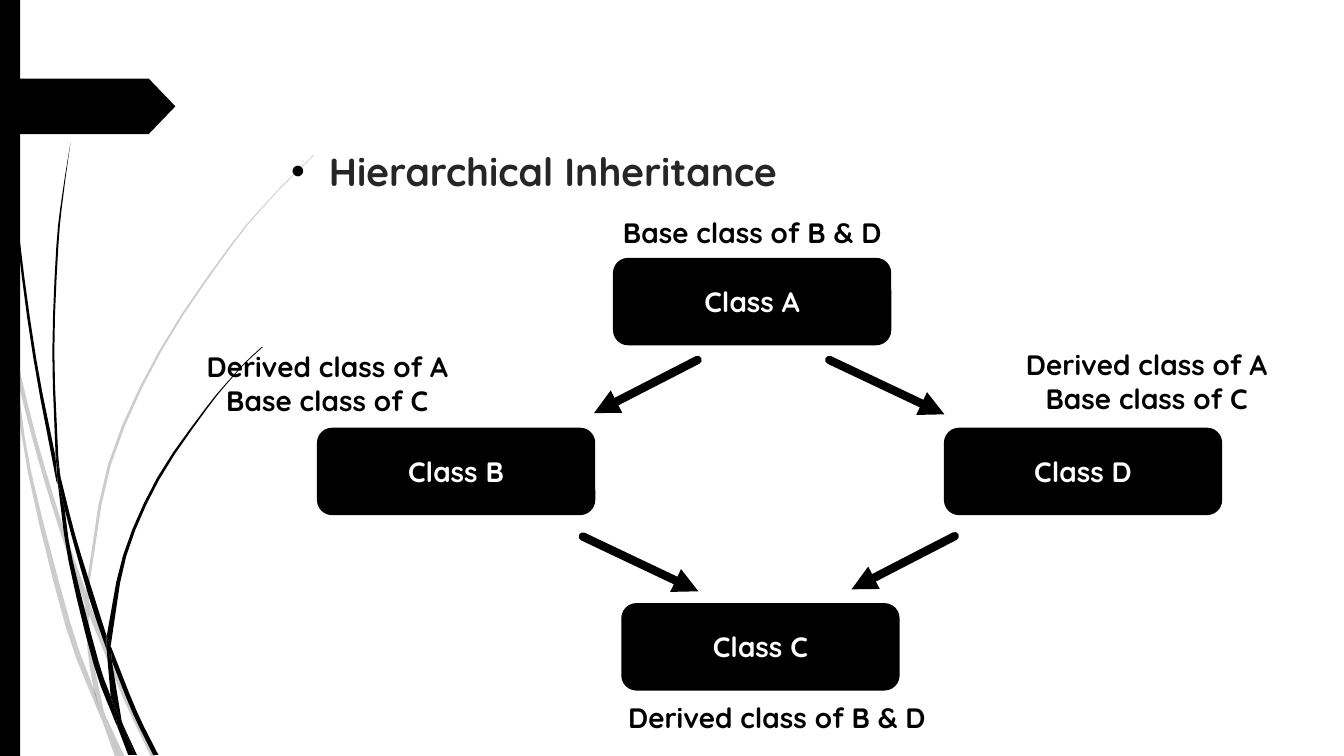
from lxml import etree
from pptx import Presentation, util as u
from pptx.dml.color import RGBColor
from pptx.enum import shapes, text
from pptx.oxml import ns

COLORS = {"ink": "000000", "title": "262626", "paper": "FFFFFF"}
FONT = "Quicksand"
SLIDE_W, SLIDE_H = 33.87, 19.05
CARD_W, CARD_H = 6.97, 2.16
CAPTION_W = 9.22

PALE_BLADES = [
    [[(.28, 8.89), (.23, 8.18), (0, 7.16)], [(0, 7.59), (.25, 8.74)]],
    [[(.43, 9.55), (.91, 11.4), (1.47, 13.26), (2.13, 15.21)],
     [(2.16, 14.88), (1.57, 13.21), (.91, 11), (.36, 8.76)]],
    [[(2.24, 15.49), (3.12, 17.63), (3.81, 19.08)],
     [(3.94, 19.08), (3.23, 17.58), (2.34, 15.42)], [(2.24, 15.14)]],
    [[(3.02, 19.08), (3.15, 19.08)], [(2.67, 18.06)]],
    [[(.28, 8.89), (.71, 11.94), (1.65, 15.77), (2.34, 17.6), (2.57, 18.14)],
     [(2.51, 17.96), (2.36, 17.35), (1.78, 15.72), (.79, 11.91), (.43, 9.55)]],
    [[(2.13, 15.21), (2.21, 16.41), (2.36, 17.35), (2.44, 17.58), (2.67, 18.06)],
     [(2.62, 17.93), (2.31, 16.41), (2.24, 15.49)]],
    [[(2.24, 14.83), (2.79, 11.73), (4.06, 8.86), (5.82, 6.22), (6.81, 5.03), (7.37, 4.45),
      (7.92, 3.91)],
     [(7.92, 3.89), (7.34, 4.45), (6.81, 5), (5.79, 6.2), (4.01, 8.84), (2.72, 11.71),
      (2.16, 14.88)], [(2.24, 15.14)]],
    [[(2.57, 18.14), (2.9, 19.08)], [(3.02, 19.08)]],
    [[(2.24, 15.49), (2.24, 15.14)], [(2.16, 14.88), (2.13, 15.21)]],
    [[(2.36, 17.35), (2.51, 17.96)], [(2.57, 18.14), (3.02, 19.08)],
     [(2.67, 18.06), (2.44, 17.58)]],
]
INK_BLADES = [
    [[(.08, 0), (.1, 1.22), (.18, 2.79), (.43, 5.92), (.84, 9.02), (1.42, 12.12)],
     [(1.45, 12.22)],
     [(1.4, 11.51), (.91, 9.02), (.48, 5.89), (.2, 2.77), (.13, 1.22), (.1, 0)]],
    [[(1.52, 11.99), (1.63, 12.83), (2.24, 15.04), (2.69, 16.38)],
     [(2.69, 16.03), (2.36, 14.99), (1.9, 13.5), (1.52, 11.99)]],
    [[(2.79, 16.28)], [(2.82, 16.66), (3.35, 17.98), (3.86, 19.02)],
     [(3.99, 19.02), (3.45, 17.93), (2.87, 16.48)]],
    [[(1.45, 12.12), (1.73, 14.15), (2.36, 16.74), (2.82, 17.98), (2.97, 18.34)],
     [(2.95, 18.21), (2.79, 17.55), (2.49, 16.69), (1.83, 14.12), (1.63, 12.83)]],
    [[(1.52, 11.99)], [(1.47, 11.51), (1.37, 8.86), (1.47, 6.22), (1.6, 4.9), (1.78, 3.58)],
     [(1.78, 3.58), (1.57, 4.9), (1.42, 6.22), (1.32, 8.86), (1.4, 11.4)]],
    [[(3.38, 19.02), (3.45, 19.02)], [(3.1, 18.26)]],
    [[(1.45, 12.12), (1.63, 12.83)], [(1.52, 11.99), (1.4, 11.4)]],
    [[(2.82, 16.08), (3.18, 14.02), (4.01, 12.09), (5.21, 10.31), (5.87, 9.5), (6.22, 9.12),
      (6.63, 8.74)],
     [(6.6, 8.74), (6.22, 9.09), (5.87, 9.47), (5.18, 10.29), (3.96, 12.04), (3.1, 14),
      (2.69, 16.03)], [(2.79, 16.28)]],
    [[(2.97, 18.34), (3.23, 19.02)], [(3.33, 19.02)]],
    [[(2.69, 16.38), (2.79, 17.55)], [(2.95, 17.93), (3.1, 18.26)],
     [(3.07, 18.19), (2.82, 16.66)]],
    [[(2.69, 16.38), (2.82, 16.66)], [(2.79, 16.28), (2.69, 16.03)]],
    [[(2.79, 17.55), (2.95, 18.21)], [(2.97, 18.34), (3.3, 19.02)],
     [(3.38, 19.02), (3.1, 18.26), (2.95, 17.93)]],
]

CARDS = [
    ("Class C", 15.68, 15.22, ["Derived class of B & D"], -.71, 2.31),
    ("Class B", 8.01, 10.8, ["Derived class of A", "Base class of C"], -4.37, -2.11),
    ("Class D", 23.81, 10.8, ["Derived class of A", "Base class of C"], .48, -2.17),
    ("Class A", 15.47, 6.52, ["Base class of B & D"], -1.12, -1.21),
]

ARROWS = [
    (17.58, 9.07, 14.97, 10.41),
    (20.9, 9.07, 23.8, 10.44),
    (14.69, 13.52, 17.6, 14.9),
    (24.06, 13.51, 21.46, 14.85),
]


def color(name):
    return RGBColor.from_string(COLORS[name])


def paint(sp, name):
    sp.shadow.inherit = False
    sp.fill.solid()
    sp.fill.fore_color.rgb = color(name)
    sp.line.fill.background()


def add_block(s, kind, x, y, w, h):
    sp = s.shapes.add_shape(kind, u.Cm(x), u.Cm(y), u.Cm(w), u.Cm(h))
    paint(sp, "ink")
    return sp


def add_run(p, words, size, name):
    r = p.add_run()
    r.text = words
    r.font.name, r.font.size, r.font.bold = FONT, u.Pt(size), True
    r.font.color.rgb = color(name)


def fill_text(tf, lines, name):
    tf.word_wrap = True
    for i, words in enumerate(lines):
        p = tf.add_paragraph() if i else tf.paragraphs[0]
        p.alignment = text.PP_ALIGN.CENTER
        add_run(p, words, 20, name)


def smooth(edge, steps=3):
    if len(edge) < 3:
        return edge
    first = tuple(2 * a - b for a, b in zip(edge[0], edge[1]))
    last = tuple(2 * a - b for a, b in zip(edge[-1], edge[-2]))
    ends = [first, *edge, last]
    points = []
    for a, b, c, d in zip(ends, ends[1:], ends[2:], ends[3:]):
        for t in (i / steps for i in range(steps)):
            points.append(tuple(
                (2 * q + (r - p) * t + (2 * p - 5 * q + 4 * r - v) * t ** 2
                 + (3 * q - p - 3 * r + v) * t ** 3) / 2
                for p, q, r, v in zip(a, b, c, d)))
    return points + [edge[-1]]


def add_blade(s, x, y, edges, alpha):
    outline = [(u.Cm(x + px), u.Cm(y + py)) for edge in edges for px, py in smooth(edge)]
    fb = s.shapes.build_freeform(*outline[0])
    fb.add_line_segments(outline[1:], close=True)
    sp = fb.convert_to_shape()
    paint(sp, "ink")
    if alpha < 100:
        clr = sp._element.spPr.find(".//" + ns.qn("a:srgbClr"))
        etree.SubElement(clr, ns.qn("a:alpha"), val=str(alpha * 1000))


def add_side(s, x, y, h):
    for blades, alpha in ((PALE_BLADES, 20), (INK_BLADES, 100)):
        for edges in blades:
            add_blade(s, x, y, edges, alpha)
    add_block(s, shapes.MSO_SHAPE.RECTANGLE, x, y, .51, h)
    tag = add_block(s, shapes.MSO_SHAPE.PENTAGON, x, y + 1.98, 4.42, 1.4)
    tag.adjustments[0] = .48


def add_title(s, x, y, w, h):
    tf = s.shapes.add_textbox(u.Cm(x), u.Cm(y), u.Cm(w), u.Cm(h)).text_frame
    tf.word_wrap = True
    p = tf.paragraphs[0]
    add_run(p, "Hierarchical Inheritance", 28, "title")
    pPr = p._p.get_or_add_pPr()
    pPr.set("marL", str(u.Cm(.95)))
    pPr.set("indent", str(-u.Cm(.95)))
    buClr = etree.SubElement(pPr, ns.qn("a:buClr"))
    etree.SubElement(buClr, ns.qn("a:srgbClr"), val=COLORS["ink"])
    etree.SubElement(pPr, ns.qn("a:buFont"), typeface="Arial")
    etree.SubElement(pPr, ns.qn("a:buChar"), char="•")


def add_card(s, x, y, label, caption, dx, dy):
    card = add_block(s, shapes.MSO_SHAPE.ROUNDED_RECTANGLE, x, y, CARD_W, CARD_H)
    card.line.color.rgb = color("ink")
    card.line.width = u.Pt(1.25)
    plate = add_block(s, shapes.MSO_SHAPE.RECTANGLE, x, y + .52, CARD_W, 1.11)
    plate.text_frame.vertical_anchor = text.MSO_ANCHOR.MIDDLE
    fill_text(plate.text_frame, [label], "paper")
    tb = s.shapes.add_textbox(u.Cm(x + dx), u.Cm(y + dy), u.Cm(CAPTION_W),
                              u.Cm(.27 + .84 * len(caption)))
    fill_text(tb.text_frame, caption, "ink")


def add_arrow(s, x1, y1, x2, y2):
    cx = s.shapes.add_connector(shapes.MSO_CONNECTOR.STRAIGHT,
                                u.Cm(x1), u.Cm(y1), u.Cm(x2), u.Cm(y2))
    cx.line.color.rgb = color("ink")
    cx.line.width = u.Pt(6)
    ln = cx._element.spPr.find(ns.qn("a:ln"))
    ln.set("cap", "rnd")
    etree.SubElement(ln, ns.qn("a:tailEnd"), type="triangle")
    etree.SubElement(cx._element.spPr, ns.qn("a:effectLst"))


def add_diagram(s, x, y):
    for label, cx, cy, caption, dx, dy in CARDS:
        add_card(s, x + cx, y + cy, label, caption, dx, dy)
    for x1, y1, x2, y2 in ARROWS:
        add_arrow(s, x + x1, y + y1, x + x2, y + y2)


prs = Presentation()
prs.slide_width, prs.slide_height = u.Cm(SLIDE_W), u.Cm(SLIDE_H)
s = prs.slides.add_slide(prs.slide_layouts[6])
add_side(s, 0, 0, SLIDE_H)
add_title(s, 7.09, 3.58, 24.77, 13)
add_diagram(s, 0, 0)
prs.save("out.pptx")
